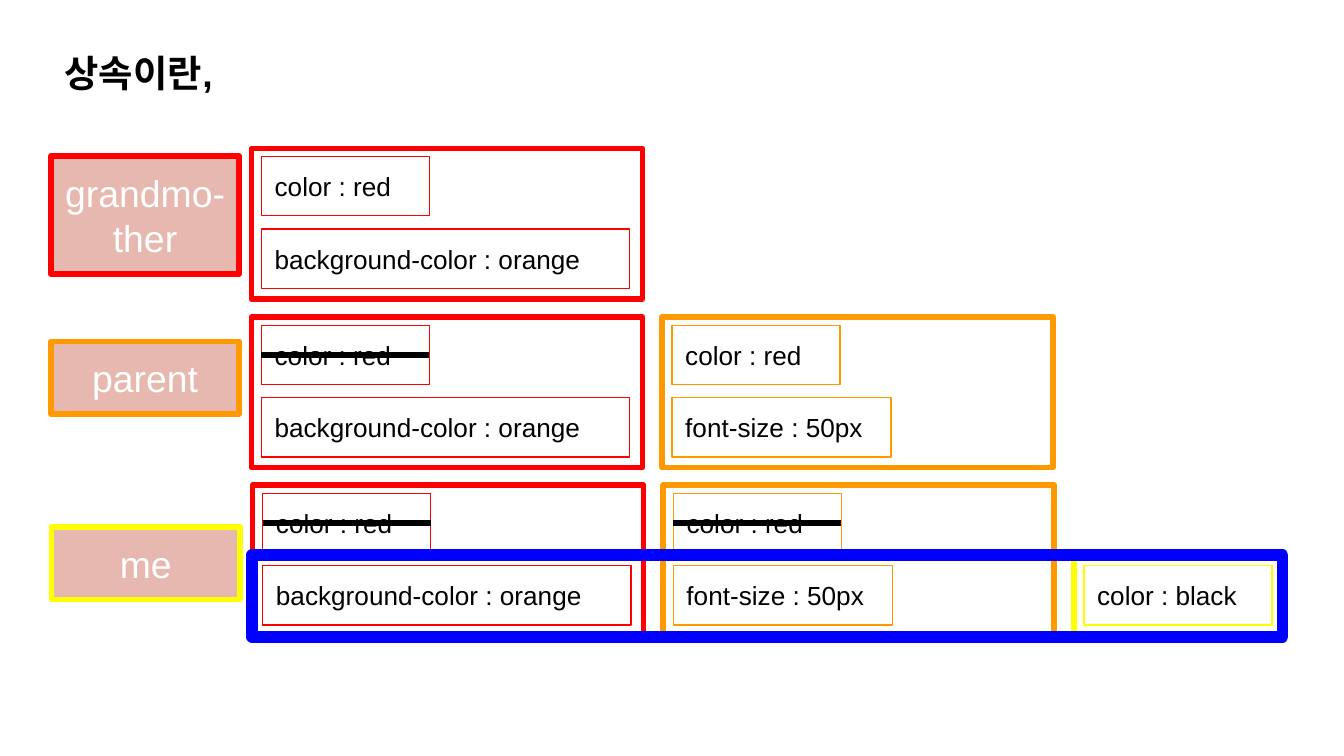
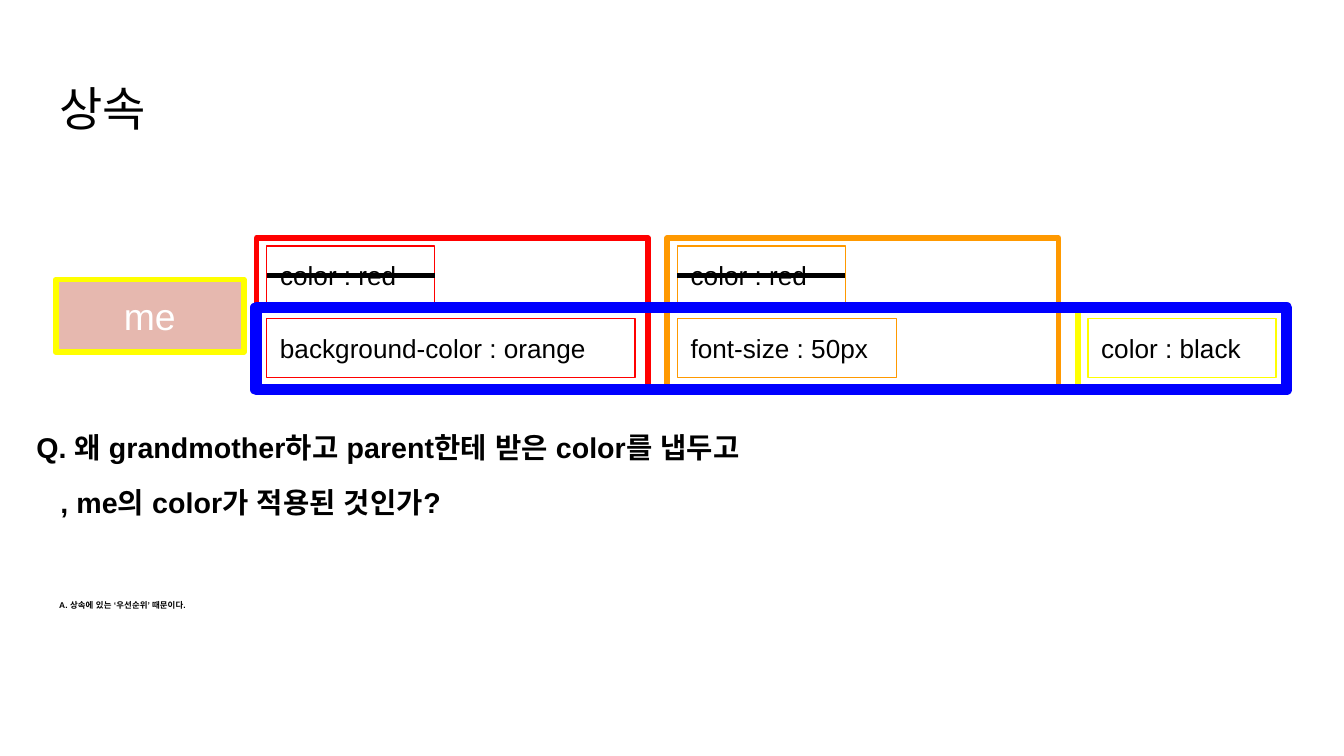
import lxml.etree
import pptx
import pptx.dml.color
import pptx.enum.shapes
import pptx.enum.text
import pptx.oxml.ns
import pptx.util

SCALE = 4572  # EMU in one px, 200 px to the inch
FONT = "Arial"
HUES = {
    "black": "000000", "white": "FFFFFF", "pink": "E6B8AF", "red": "FF0000",
    "orange": "FF9900", "yellow": "FFFF00", "blue": "0000FF",
}
ALIGN = pptx.enum.text.PP_ALIGN
ANCHOR = pptx.enum.text.MSO_ANCHOR

# Shared measures of the style boxes
WIDE, HIGH = 582, 224       # frame around a set of rules
STEP = 611                  # from one frame to the next
PAD, TOP, DROP = 15, 12, 108  # first rule in its frame, and the step to the second
RULE = 88                   # height of a rule
SHORT = 250                 # width of "color : red"
SIDE = 76                   # left edge of the tags on slide 1

# The rules each ancestor hands down: hue and second rule with its width
GRAND = ("red", "background-color : orange", 548)
PARENT = ("orange", "font-size : 50px", 326)


def px(n):
    return pptx.util.Emu(n * SCALE)


def rgb(name):
    return pptx.dml.color.RGBColor.from_string(HUES[name])


def write(frame, text, size=14, hue="black", bold=False, align=ALIGN.LEFT,
          anchor=ANCHOR.MIDDLE, lead=1.0, before=0, after=0, indent=0):
    """Add one paragraph to a text frame."""
    frame.word_wrap = True
    frame.auto_size = pptx.enum.text.MSO_AUTO_SIZE.NONE
    frame.vertical_anchor = anchor
    frame.margin_left = frame.margin_right = px(20)
    frame.margin_top = frame.margin_bottom = px(20)
    para = frame.paragraphs[0] if not frame.text else frame.add_paragraph()
    props = para._p.get_or_add_pPr()
    props.set("marL", str(px(indent)))
    props.set("indent", "0")
    lxml.etree.SubElement(props, pptx.oxml.ns.qn("a:buNone"))
    para.alignment = align
    para.line_spacing = lead
    para.space_before = pptx.util.Pt(before)
    para.space_after = pptx.util.Pt(after)
    run = para.add_run()
    run.text = text
    run.font.name = FONT
    run.font.size = pptx.util.Pt(size)
    run.font.bold = bold
    run.font.color.rgb = rgb(hue)
    east = lxml.etree.SubElement(run._r.get_or_add_rPr(), pptx.oxml.ns.qn("a:ea"))
    east.set("typeface", FONT)


class Deck:
    def __init__(self):
        self.show = pptx.Presentation()
        self.show.slide_width = px(2000)
        self.show.slide_height = px(1125)
        self.slide = None

    def page(self, layout):
        self.slide = self.show.slides.add_slide(self.show.slide_layouts[layout])

    def holder(self, index, x, y, w, h):
        """Move a placeholder and return its text frame."""
        item = self.slide.placeholders[index]
        item.left, item.top, item.width, item.height = map(px, (x, y, w, h))
        return item.text_frame

    def box(self, x, y, w, h, hue, weight=3, fill=None):
        shape = self.slide.shapes.add_shape(
            pptx.enum.shapes.MSO_SHAPE.RECTANGLE, px(x), px(y), px(w), px(h))
        shape.shadow.inherit = False
        if fill:
            shape.fill.solid()
            shape.fill.fore_color.rgb = rgb(fill)
        else:
            shape.fill.background()
        shape.line.color.rgb = rgb(hue)
        shape.line.width = pptx.util.Pt(weight)
        return shape.text_frame

    def tag(self, x, y, h, hue, text):
        write(self.box(x, y, 280, h, hue, fill="pink"), text,
              size=20, hue="white", align=ALIGN.CENTER)

    def rule(self, x, y, w, hue, text):
        write(self.box(x, y, w, RULE, hue, weight=0.75), text)

    def strike(self, x, y, w):
        line = self.slide.shapes.add_connector(
            pptx.enum.shapes.MSO_CONNECTOR.STRAIGHT, px(x), px(y), px(x + w), px(y))
        line.line.color.rgb = rgb("black")
        line.line.width = pptx.util.Pt(3)
        lxml.etree.SubElement(line._element.spPr, pptx.oxml.ns.qn("a:effectLst"))

    def group(self, x, y, kind, struck=False):
        """A frame with a colour rule and a second rule."""
        hue, text, width = kind
        self.box(x, y, WIDE, HIGH, hue)
        self.rule(x + PAD, y + TOP, SHORT, hue, "color : red")
        self.rule(x + PAD, y + TOP + DROP, width, hue, text)
        if struck:
            self.strike(x + PAD, y + TOP + RULE // 2, SHORT)

    def me(self, x, y):
        """The row of the child: inherited rules, its own, and the result."""
        base = y + 104
        self.tag(x - 299, y + 62, 108, "yellow", "me")
        self.box(x + 2 * STEP, base, 310, 122, "yellow")
        self.rule(x + 2 * STEP + PAD, base + 16, 280, "yellow", "color : black")
        self.group(x + STEP, y, PARENT, struck=True)
        self.group(x, y, GRAND, struck=True)
        self.box(x - 1, base, 1534, 122, "blue", weight=6)


def main():
    deck = Deck()

    # Slide 1: what inheritance is
    deck.page(5)
    write(deck.holder(0, SIDE, 54, 1846, 108), "상속이란,", size=20, bold=True)
    deck.tag(SIDE, 232, 176, "red", "grandmo-ther")
    deck.group(374, 221, GRAND)
    deck.tag(SIDE, 508, 108, "orange", "parent")
    deck.group(374, 472, GRAND, struck=True)
    deck.group(374 + STEP, 472, PARENT)
    deck.me(376, 722)

    # Slide 2: why the child's own colour wins
    deck.page(3)
    write(deck.holder(0, 68, 98, 1864, 126), "상속", size=25.2)
    ask = deck.holder(1, 34, 624, 1412, 204)
    form = dict(bold=True, anchor=ANCHOR.TOP, lead=0.95)
    write(ask, "Q. 왜 grandmother하고 parent한테 받은 color를 냅두고", size=15.3, **form)
    write(ask, ", me의 color가 적용된 것인가?", size=15.3,
          before=12, after=12, indent=36, **form)
    deck.me(382, 354)
    write(deck.holder(2, 68, 874, 1864, 90), "A. 상속에 있는 ‘우선순위’ 때문이다.",
          size=4.5, after=12, **form)

    deck.show.save("out.pptx")


if __name__ == "__main__":
    main()
